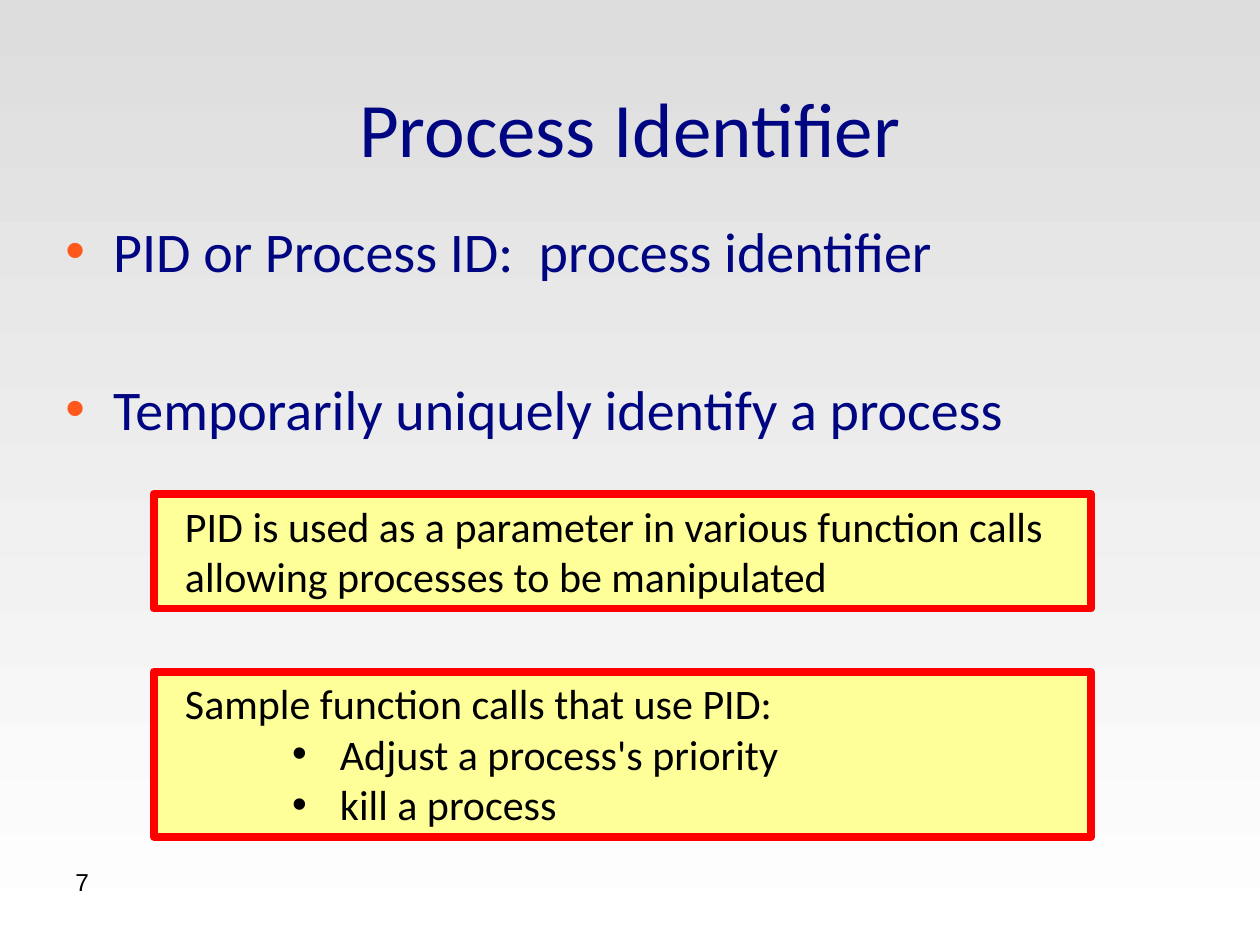
from lxml.etree import SubElement
from pptx import Presentation
from pptx.dml.color import RGBColor
from pptx.enum.shapes import MSO_SHAPE
from pptx.enum.text import MSO_ANCHOR, PP_ALIGN
from pptx.oxml.ns import qn
from pptx.util import Inches, Pt

COLORS = {
    "navy": "000681",
    "orange": "FF581D",
    "yellow": "FFFF99",
    "red": "FF0000",
    "black": "000000",
    "gray": "DDDDDD",
    "white": "FFFFFF",
}
HANG = 0.38
NOTE_INDENT = 0.15
NOTE_BULLET_INDENT = 1.38


def color(name):
    """Return the named palette colour."""
    return RGBColor.from_string(COLORS[name])


def set_background(page):
    """Fill the page with a vertical gray-to-white gradient."""
    fill = page.background.fill
    fill.gradient()
    fill.gradient_angle = 270
    for stop, position, name in zip(fill.gradient_stops, (0, 1), ("gray", "white")):
        stop.position = position
        stop.color.rgb = color(name)


def write_para(para, text, size, color_name, font="Calibri", before=0):
    """Write one left-aligned paragraph and format its run."""
    para.text = text
    para.alignment = PP_ALIGN.LEFT
    para.space_before = Pt(before)
    for span in para.runs:
        span.font.size = Pt(size)
        span.font.name = font
        span.font.color.rgb = color(color_name)


def indent(para, left, bullet_color=None):
    """Indent a paragraph, hanging a bullet when a bullet colour is given."""
    properties = para._p.get_or_add_pPr()
    properties.set("marL", str(Inches(left)))
    if bullet_color:
        properties.set("indent", str(Inches(-HANG)))
        bullet = SubElement(properties, qn("a:buClr"))
        SubElement(bullet, qn("a:srgbClr"), val=COLORS[bullet_color])
        SubElement(properties, qn("a:buFont"), typeface="Arial")
        SubElement(properties, qn("a:buChar"), char="•")


def add_text(page, left, top, width, height):
    """Add a wrapping text box and return its text frame."""
    frame = page.shapes.add_textbox(
        Inches(left), Inches(top), Inches(width), Inches(height)
    ).text_frame
    frame.word_wrap = True
    return frame


def add_title(page, text):
    """Add the centred slide title."""
    frame = add_text(page, 0.5, 0.42, 9, 1.17)
    frame.vertical_anchor = MSO_ANCHOR.MIDDLE
    write_para(frame.paragraphs[0], text, 44, "navy", before=12)
    frame.paragraphs[0].alignment = PP_ALIGN.CENTER


def add_bullets(page, items):
    """Add the main bullets, separated by one line of space."""
    frame = add_text(page, 0.42, 1.67, 9, 4.17)
    frame.text = "\n".join(items)
    for index, (para, item) in enumerate(zip(frame.paragraphs, items)):
        write_para(para, item, 32, "navy", before=52 if index else 6.4)
        indent(para, HANG, "orange")


def add_note(page, top, height, lines, bullets=()):
    """Add a red-framed yellow box with plain lines and optional bullets."""
    box = page.shapes.add_shape(
        MSO_SHAPE.RECTANGLE, Inches(1.22), Inches(top), Inches(7.44), Inches(height)
    )
    box.shadow.inherit = False
    box.fill.solid()
    box.fill.fore_color.rgb = color("yellow")
    box.line.color.rgb = color("red")
    box.line.width = Pt(4.5)
    frame = box.text_frame
    frame.word_wrap = True
    frame.vertical_anchor = MSO_ANCHOR.TOP
    texts = [*lines, *bullets]
    frame.text = "\n".join(texts)
    for index, (para, text) in enumerate(zip(frame.paragraphs, texts)):
        write_para(para, text, 24, "black")
        if index < len(lines):
            indent(para, NOTE_INDENT)
        else:
            para.level = 2
            indent(para, NOTE_BULLET_INDENT, "black")


def add_page_number(page, number):
    """Add the page number at the lower left."""
    frame = add_text(page, 0.5, 6.83, 2.33, 0.52)
    write_para(frame.paragraphs[0], number, 14, "black", font="Arial")


def main():
    """Build and save the slide."""
    deck = Presentation()
    deck.slide_width, deck.slide_height = Inches(10), Inches(7.5)
    page = deck.slides.add_slide(deck.slide_layouts[6])
    set_background(page)
    add_title(page, "Process Identifier")
    add_bullets(page, [
        "PID or Process ID:  process identifier",
        "Temporarily uniquely identify a process",
    ])
    add_note(page, 3.92, 0.91, [
        "PID is used as a parameter in various function calls",
        "allowing processes to be manipulated",
    ])
    add_note(
        page, 5.33, 1.31,
        ["Sample function calls that use PID:"],
        ["Adjust a process's priority", "kill a process"],
    )
    add_page_number(page, "7")
    deck.save("out.pptx")


if __name__ == "__main__":
    main()
